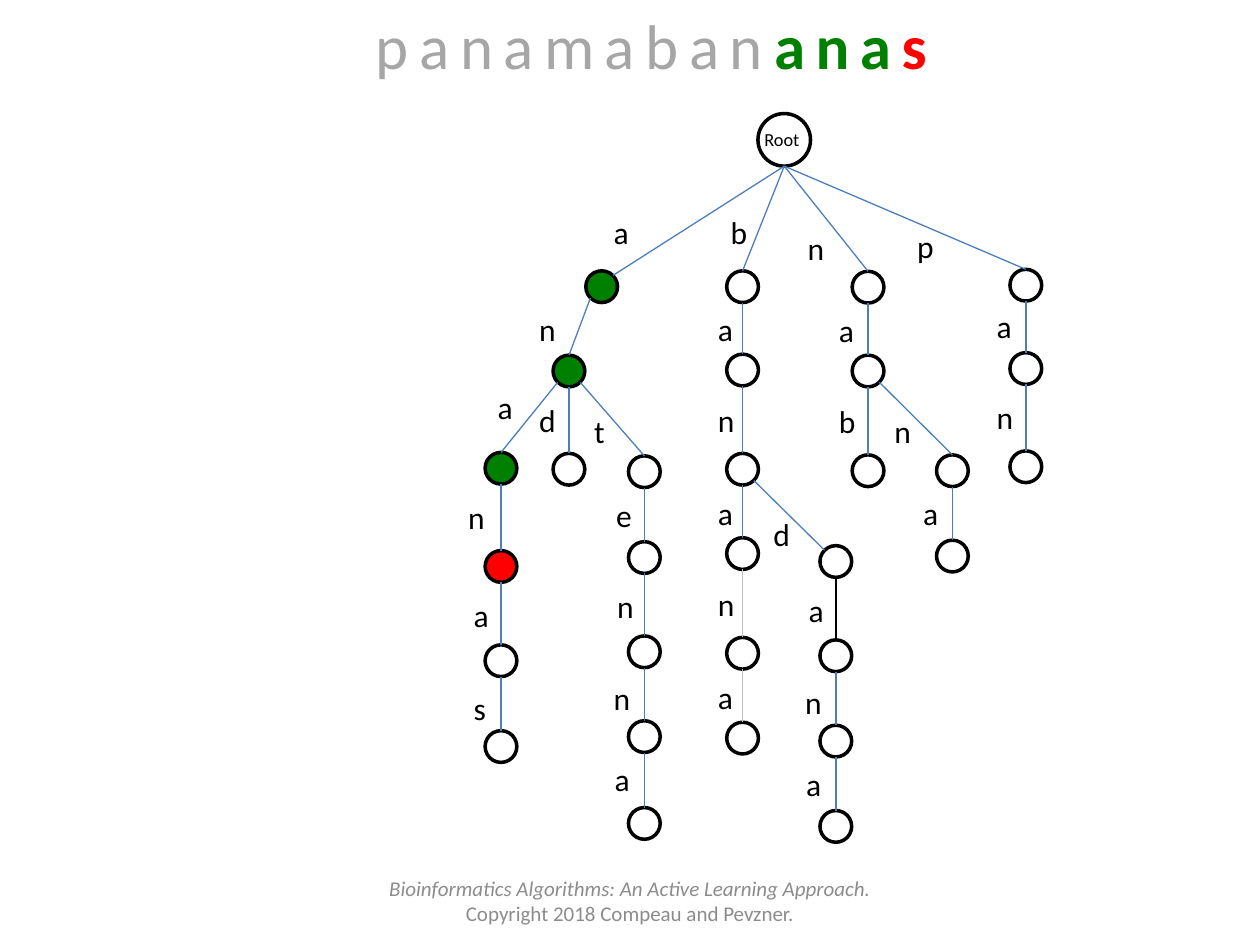
import pptx
import pptx.dml.color
import pptx.enum.shapes
import pptx.enum.text
import pptx.oxml.ns
import pptx.util
import lxml.etree

Cm, Pt = pptx.util.Cm, pptx.util.Pt
RGBColor = pptx.dml.color.RGBColor
SHAPE = pptx.enum.shapes.MSO_SHAPE
ALIGN = pptx.enum.text.PP_ALIGN
ANCHOR = pptx.enum.text.MSO_ANCHOR
AUTO_SIZE = pptx.enum.text.MSO_AUTO_SIZE

BLACK = RGBColor(0x00, 0x00, 0x00)
WHITE = RGBColor(0xFF, 0xFF, 0xFF)
GREEN = RGBColor(0x00, 0x80, 0x00)
RED = RGBColor(0xFF, 0x00, 0x00)
BLUE = RGBColor(0x4B, 0x7E, 0xBC)
SILVER = RGBColor(0xBF, 0xBF, 0xBF)
TITLE_GRAY = RGBColor(0xA6, 0xA6, 0xA6)
FOOTER_GRAY = RGBColor(0x8C, 0x8C, 0x8C)

NODE_RADIUS, ROOT_RADIUS = 0.32, 0.53
DIAGONAL = 0.71
BOTTOM, TOP = (0, 1), (0, -1)
LOWER_LEFT, LOWER_RIGHT = (-DIAGONAL, DIAGONAL), (DIAGONAL, DIAGONAL)
UPPER_LEFT, UPPER_RIGHT = (-DIAGONAL, -DIAGONAL), (DIAGONAL, -DIAGONAL)

# Each prefix spells its way down from the root:
# node centre x, y and edge label left, top (cm within the trie)
ROOT = (6.81, 0.82)
NODES = {
    "a": (3.13, 3.78, 3.12, 2.17),
    "an": (2.47, 5.48, 1.62, 4.12),
    "ana": (1.1, 7.44, 0.78, 5.7),
    "anan": (1.1, 9.42, 0.19, 7.91),
    "anana": (1.1, 11.32, 0.3, 9.89),
    "ananas": (1.1, 13.05, 0.3, 11.77),
    "and": (2.47, 7.46, 1.62, 5.95),
    "ant": (3.99, 7.51, 2.73, 6.18),
    "ante": (3.99, 9.24, 3.17, 7.88),
    "anten": (3.99, 11.14, 3.19, 9.71),
    "antenn": (3.99, 12.85, 3.12, 11.56),
    "antenna": (3.99, 14.6, 3.14, 13.19),
    "b": (5.97, 3.78, 5.48, 2.17),
    "ba": (5.97, 5.46, 5.22, 4.12),
    "ban": (5.97, 7.46, 5.22, 5.95),
    "bana": (5.97, 9.16, 5.22, 7.83),
    "banan": (5.97, 11.17, 5.22, 9.66),
    "banana": (5.97, 12.88, 5.22, 11.54),
    "band": (7.85, 9.32, 6.34, 8.26),
    "banda": (7.85, 11.22, 7.05, 9.79),
    "bandan": (7.85, 12.94, 6.98, 11.64),
    "bandana": (7.85, 14.66, 7, 13.29),
    "n": (8.5, 3.79, 7.03, 2.5),
    "na": (8.5, 5.48, 7.66, 4.15),
    "nab": (8.5, 7.49, 7.66, 5.98),
    "nan": (10.2, 7.49, 8.78, 6.18),
    "nana": (10.2, 9.21, 9.36, 7.83),
    "p": (11.68, 3.75, 9.24, 2.45),
    "pa": (11.68, 5.43, 10.84, 4.07),
    "pan": (11.68, 7.41, 10.84, 5.9),
}
NODE_FILLS = {"a": GREEN, "an": GREEN, "ana": GREEN, "anan": RED}
EDGE_COLORS = {"banan": SILVER, "banana": SILVER, "banda": BLACK}
# Edges that do not run from the parent's bottom to the child's top
EDGE_ENDS = {
    "a": (BOTTOM, UPPER_RIGHT),
    "an": (LOWER_LEFT, TOP),
    "ana": (LOWER_LEFT, TOP),
    "ant": (LOWER_RIGHT, TOP),
    "band": (LOWER_RIGHT, UPPER_LEFT),
    "nan": (LOWER_RIGHT, TOP),
}
LETTER_WIDTHS = {"a": 0.82, "e": 0.84, "s": 0.76, "t": 0.74}


def add_text(shapes, box, lines, align=ALIGN.LEFT, frame_format=None):
    """Write lines, each a list of (text, font format) spans, in a box."""
    frame = shapes.add_textbox(*map(Cm, box)).text_frame
    for name, value in {"word_wrap": True, **(frame_format or {})}.items():
        setattr(frame, name, value)
    for index, spans in enumerate(lines):
        para = frame.add_paragraph() if index else frame.paragraphs[0]
        para.alignment = align
        for text, font_format in spans:
            span = para.add_run()
            span.text = text
            span.font.name = "Calibri"
            span.font.color.rgb = font_format.get("color", BLACK)
            for name in font_format.keys() - {"color"}:
                setattr(span.font, name, font_format[name])
    return frame


def add_node(shapes, x, y, radius, fill):
    node = shapes.add_shape(SHAPE.OVAL, Cm(x - radius), Cm(y - radius),
                            Cm(2 * radius), Cm(2 * radius))
    node.shadow.inherit = False
    node.fill.solid()
    node.fill.fore_color.rgb = fill
    node.line.color.rgb = BLACK
    node.line.width = Pt(2)


def add_edge(shapes, start, end, color):
    edge = shapes.add_connector(pptx.enum.shapes.MSO_CONNECTOR.STRAIGHT,
                                *map(Cm, (*start, *end)))
    edge.line.color.rgb = color
    edge.line.width = Pt(0.75)
    lxml.etree.SubElement(edge._element.spPr, pptx.oxml.ns.qn("a:effectLst"))


def rim_point(center, radius, direction):
    return [c + radius * d for c, d in zip(center, direction)]


def add_trie(page, left, top):
    shapes = page.shapes.add_group_shape().shapes
    fit = {"auto_size": AUTO_SIZE.SHAPE_TO_FIT_TEXT}
    centers = {"": (left + ROOT[0], top + ROOT[1])}

    # Root
    add_node(shapes, *centers[""], ROOT_RADIUS, WHITE)
    add_text(shapes, (left + 6.16, top + 0.46, 1.4, 0.71),
             [[("Root", {"size": Pt(10.5)})]], frame_format=fit)

    # Nodes, with the edge and letter that lead to each
    for prefix, (x, y, label_x, label_y) in NODES.items():
        parent, letter = prefix[:-1], prefix[-1]
        centers[prefix] = (left + x, top + y)
        add_node(shapes, *centers[prefix], NODE_RADIUS,
                 NODE_FILLS.get(prefix, WHITE))
        leave, arrive = EDGE_ENDS.get(prefix, (BOTTOM, TOP))
        add_edge(shapes,
                 rim_point(centers[parent],
                           NODE_RADIUS if parent else ROOT_RADIUS, leave),
                 rim_point(centers[prefix], NODE_RADIUS, arrive),
                 EDGE_COLORS.get(prefix, BLUE))
        add_text(shapes, (left + label_x, top + label_y,
                          LETTER_WIDTHS.get(letter, 0.86), 1.02),
                 [[(letter, {"size": Pt(18)})]],
                 frame_format={**fit, "word_wrap": False})


def add_title(page, box):
    size = Pt(36)
    spans = [("panamaban", {"size": size, "color": TITLE_GRAY}),
             ("ana", {"size": size, "color": GREEN, "bold": True}),
             ("s", {"size": size, "color": RED, "bold": True})]
    frame = add_text(page.shapes, box, [spans], ALIGN.CENTER,
                     {"auto_size": AUTO_SIZE.SHAPE_TO_FIT_TEXT})
    # Letter spacing of 6 pt
    for span in frame.paragraphs[0].runs:
        span._r.get_or_add_rPr().set("spc", "600")


def add_footer(page, box):
    style = {"size": Pt(12), "color": FOOTER_GRAY}
    book = "Bioinformatics Algorithms: An Active Learning Approach."
    add_text(page.shapes, box,
             [[(book, {**style, "italic": True})],
              [("Copyright 2018 Compeau and Pevzner.", style)]],
             ALIGN.CENTER, {"vertical_anchor": ANCHOR.MIDDLE})


def main():
    deck = pptx.Presentation()
    deck.slide_width, deck.slide_height = Cm(25.4), Cm(19.05)
    page = deck.slides.add_slide(deck.slide_layouts[6])
    add_trie(page, 9, 2)
    add_title(page, (6.78, 0, 12.7, 1.8))
    add_footer(page, (7.2, 17.65, 11, 1.02))
    deck.save("out.pptx")


if __name__ == "__main__":
    main()
